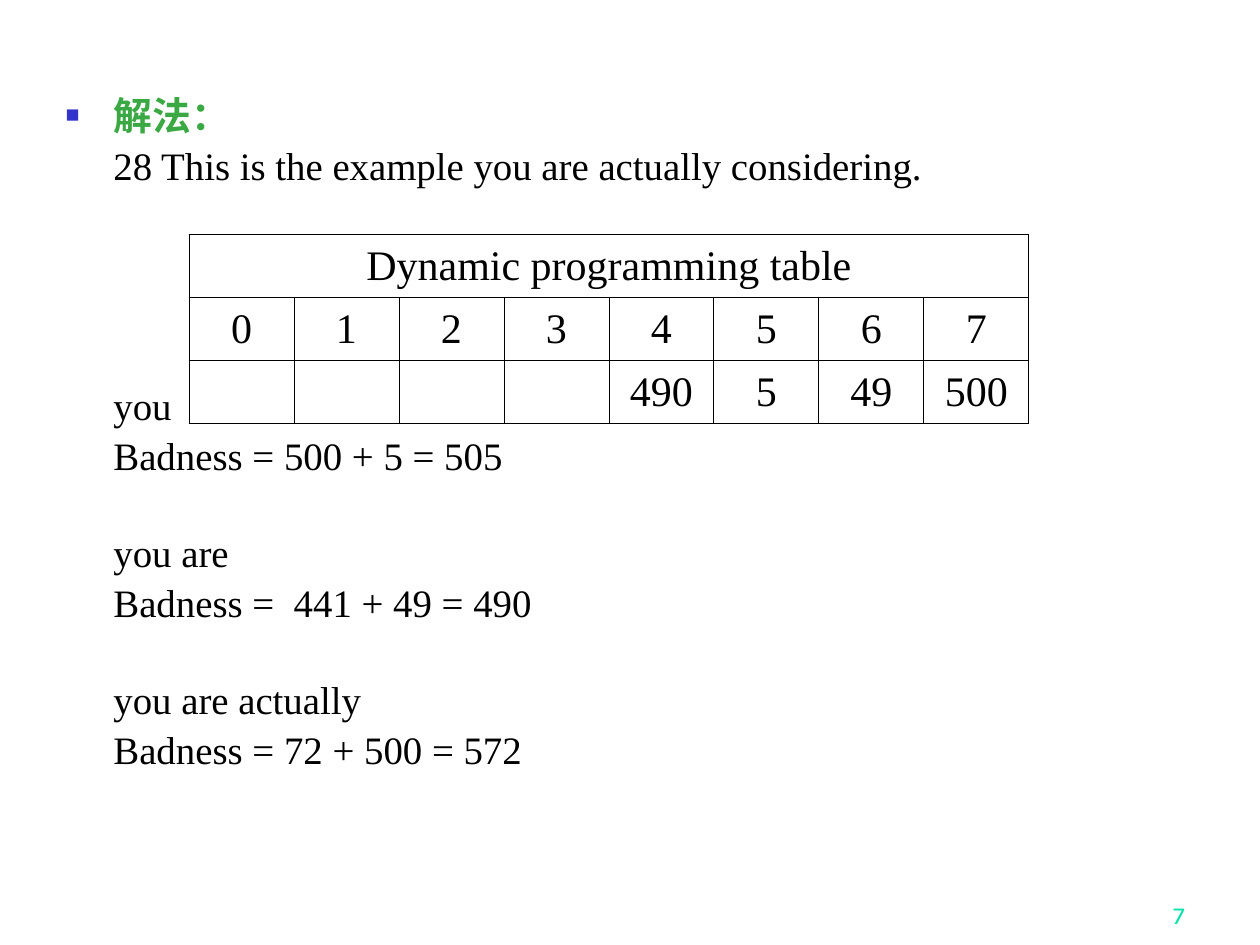
from lxml.etree import SubElement
from pptx import Presentation
from pptx.dml.color import RGBColor
from pptx.enum.text import MSO_ANCHOR, MSO_AUTO_SIZE, PP_ALIGN
from pptx.oxml.ns import qn
from pptx.util import Inches, Pt

SERIF = "Times New Roman"
BLACK = "000000"


def paint(target, shade):
    """Set the colour of a font or a solid fill from a hex string."""
    colour = target.color if hasattr(target, "color") else target.fore_color
    colour.rgb = RGBColor.from_string(shade)


def write(para, text, size=22.2, face=SERIF, shade=BLACK, bold=False,
          align=PP_ALIGN.LEFT):
    para.alignment = align
    run = para.add_run()
    run.text = text
    run.font.size = Pt(size)
    run.font.name = face
    run.font.bold = bold
    paint(run.font, shade)


deck = Presentation()
deck.slide_width, deck.slide_height = Inches(10), Inches(7.5)
wide, high = deck.slide_width, deck.slide_height
slide = deck.slides.add_slide(deck.slide_layouts[1])
title = slide.shapes.title
title._element.getparent().remove(title._element)

# Page number
page = slide.shapes.add_textbox(
    int(wide * 0.742), int(high * 0.923), int(wide * 0.208), int(high / 15))
page.text_frame.word_wrap = True
page.text_frame.vertical_anchor = MSO_ANCHOR.BOTTOM
write(page.text_frame.paragraphs[0], "7", size=14, face="Karla",
      shade="00E4A8", align=PP_ALIGN.RIGHT)

# Worked solution: each line with the number of line heights left free above it
body = slide.placeholders[1]
body.left, body.top = int(wide * 0.042), int(high * 0.1)
body.width, body.height = int(wide * 0.883), int(high * 0.82)
frame = body.text_frame
frame.auto_size = MSO_AUTO_SIZE.NONE
lines = [
    ("解法：", 0),
    ("28 This is the example you are actually considering.", 0),
    ("you", 4),
    ("Badness = 500 + 5 = 505", 0),
    ("you are", 1),
    ("Badness =  441 + 49 = 490", 0),
    ("you are actually", 1),
    ("Badness = 72 + 500 = 572", 0),
]
indent = Inches(0.38)
for num, (text, gap) in enumerate(lines):
    head = num == 0
    para = frame.paragraphs[0] if head else frame.add_paragraph()
    para.line_spacing = 0.8
    para.space_before = Pt(0 if head else 7 + 27.3 * gap)
    props = para._p.get_or_add_pPr()
    props.set("marL", str(indent))
    props.set("indent", str(-indent if head else 0))
    if head:
        tint = SubElement(props, qn("a:buClr"))
        SubElement(tint, qn("a:srgbClr"), val="3333CC")
        SubElement(props, qn("a:buSzPct"), val="60000")
        SubElement(props, qn("a:buChar"), char="■")
    else:
        SubElement(props, qn("a:buNone"))
    write(para, text, shade="3BA943" if head else BLACK, bold=head)

# Dynamic programming table
rows = [
    ["Dynamic programming table"] + [""] * 7,
    [str(num) for num in range(8)],
    ["", "", "", "", "490", "5", "49", "500"],
]
cell_w, cell_h = int(wide / 12), int(high / 15)
table = slide.shapes.add_table(
    len(rows), 8, int(wide * 0.15), int(high * 0.248),
    cell_w * 8, cell_h * len(rows)).table
table.first_row = table.horz_banding = False
table.cell(0, 0).merge(table.cell(0, 7))
for r, row in enumerate(rows):
    table.rows[r].height = cell_h
    for c, text in enumerate(row):
        cell = table.cell(r, c)
        cell.vertical_anchor = MSO_ANCHOR.MIDDLE
        props = cell._tc.get_or_add_tcPr()
        for side in ("lnL", "lnR", "lnT", "lnB"):
            edge = SubElement(props, qn(f"a:{side}"), w=str(Pt(0.45)))
            fill = SubElement(edge, qn("a:solidFill"))
            SubElement(fill, qn("a:srgbClr"), val=BLACK)
        cell.fill.background()
        if text:
            write(cell.text_frame.paragraphs[0], text, size=24,
                  align=PP_ALIGN.CENTER)

deck.save("out.pptx")
